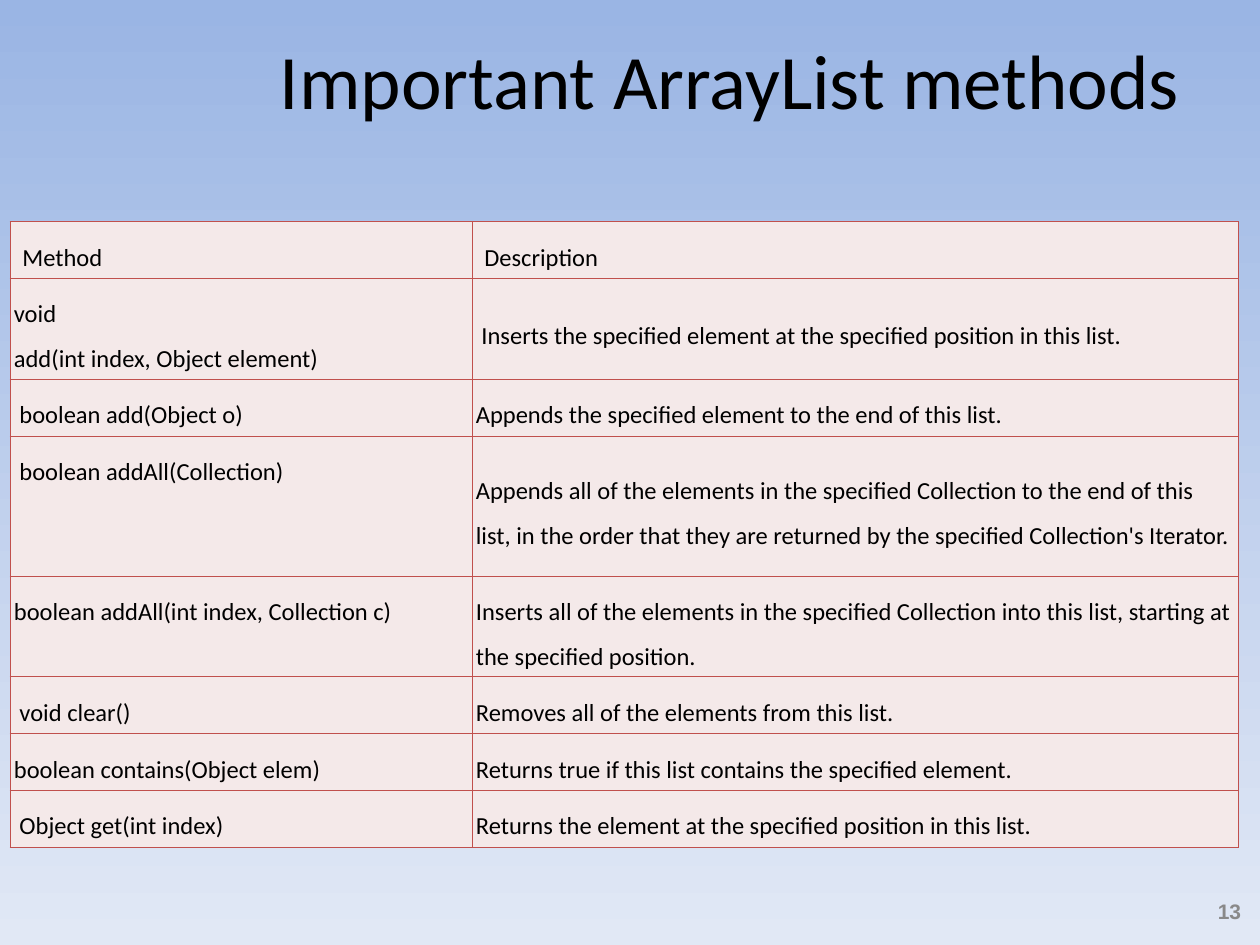
from lxml import etree
from pptx import Presentation
from pptx import util as u
from pptx.dml import color
from pptx.enum import text
from pptx.oxml import ns

METHODS = [
    ("Method", "Description", 1.14),
    ("void\nadd(int index, Object element)",
     " Inserts the specified element at the specified position in this list.", 1.93),
    (" boolean add(Object o)",
     "Appends the specified element to the end of this list.", 1.04),
    (" boolean addAll(Collection)",
     "Appends all of the elements in the specified Collection to the end of this list, "
     "in the order that they are returned by the specified Collection's Iterator.", 2.82),
    ("boolean addAll(int index, Collection c)",
     "Inserts all of the elements in the specified Collection into this list, "
     "starting at the specified position.", 1.93),
    (" void clear()", "Removes all of the elements from this list.", 1.04),
    ("boolean contains(Object elem)",
     "Returns true if this list contains the specified element.", 1.04),
    (" Object get(int index)",
     "Returns the element at the specified position in this list.", 1.04),
]


def rgb(value):
    """Return the colour for a hex string."""
    return color.RGBColor.from_string(value)


def style(paragraph, size, face, ink, bold=False):
    """Set the font of a whole paragraph."""
    font = paragraph.font
    font.size, font.name, font.bold = u.Pt(size), face, bold
    font.color.rgb = rgb(ink)


def paint_background(slide, top, bottom):
    """Fill the slide with a gradient running downwards."""
    fill = slide.background.fill
    fill.gradient()
    fill.gradient_angle = 270
    for stop, value, position in zip(fill.gradient_stops, (top, bottom), (0, 1)):
        stop.color.rgb = rgb(value)
        stop.position = position


def add_line(slide, box, words, align, **font):
    """Place one line of text, vertically centred in its box."""
    frame = slide.shapes.add_textbox(*map(u.Cm, box)).text_frame
    frame.word_wrap = True
    frame.vertical_anchor = text.MSO_ANCHOR.MIDDLE
    line = frame.paragraphs[0]
    line.text = words
    line.alignment = align
    style(line, **font)


def add_borders(cell, value, width):
    """Draw a solid line on all four sides of a cell."""
    properties = cell._tc.get_or_add_tcPr()
    for side in ("a:lnL", "a:lnR", "a:lnT", "a:lnB"):
        border = etree.SubElement(properties, ns.qn(side), w=str(u.Pt(width)))
        solid = etree.SubElement(border, ns.qn("a:solidFill"))
        etree.SubElement(solid, ns.qn("a:srgbClr"), val=value)


def fill_cell(cell, words, margin, anchor):
    """Write and style one table cell."""
    add_borders(cell, "C0504D", 0.45)
    cell.fill.solid()
    cell.fill.fore_color.rgb = rgb("F4E9E9")
    cell.margin_left = cell.margin_right = u.Cm(margin)
    cell.vertical_anchor = anchor
    cell.text = words
    for paragraph in cell.text_frame.paragraphs:
        paragraph.line_spacing = 1.5
        style(paragraph, 14, "Calibri", "000000")


def add_methods(slide, box, name_share):
    """Build the table of methods with their descriptions."""
    left, top, width, height = map(u.Cm, box)
    table = slide.shapes.add_table(len(METHODS), 2, left, top, width, height).table
    table.first_row = table.horz_banding = False
    table.columns[0].width = int(width * name_share)
    table.columns[1].width = width - table.columns[0].width
    for index, (method, description, row_height) in enumerate(METHODS):
        heading = index == 0
        table.rows[index].height = u.Cm(row_height)
        margin = 0.25 if heading else 0.08
        anchor = text.MSO_ANCHOR.TOP if heading else text.MSO_ANCHOR.MIDDLE
        fill_cell(table.cell(index, 0), method, margin, text.MSO_ANCHOR.TOP)
        fill_cell(table.cell(index, 1), description, margin, anchor)


def main():
    """Build the slide and save it."""
    deck = Presentation()
    deck.slide_width, deck.slide_height = u.Cm(25.4), u.Cm(19.05)
    slide = deck.slides.add_slide(deck.slide_layouts[6])
    paint_background(slide, "9AB5E4", "E1E8F5")
    add_line(slide, (4.24, 0, 20.96, 3.18), "Important ArrayList methods",
             text.PP_ALIGN.CENTER, size=44, face="Calibri", ink="000000")
    add_line(slide, (24.03, 17.93, 1.24, 0.89), "13",
             text.PP_ALIGN.RIGHT, size=12, face="Arial", ink="898989", bold=True)
    add_methods(slide, (0.2, 4.47, 24.77, 11.98), 0.376)
    deck.save("out.pptx")


if __name__ == "__main__":
    main()
